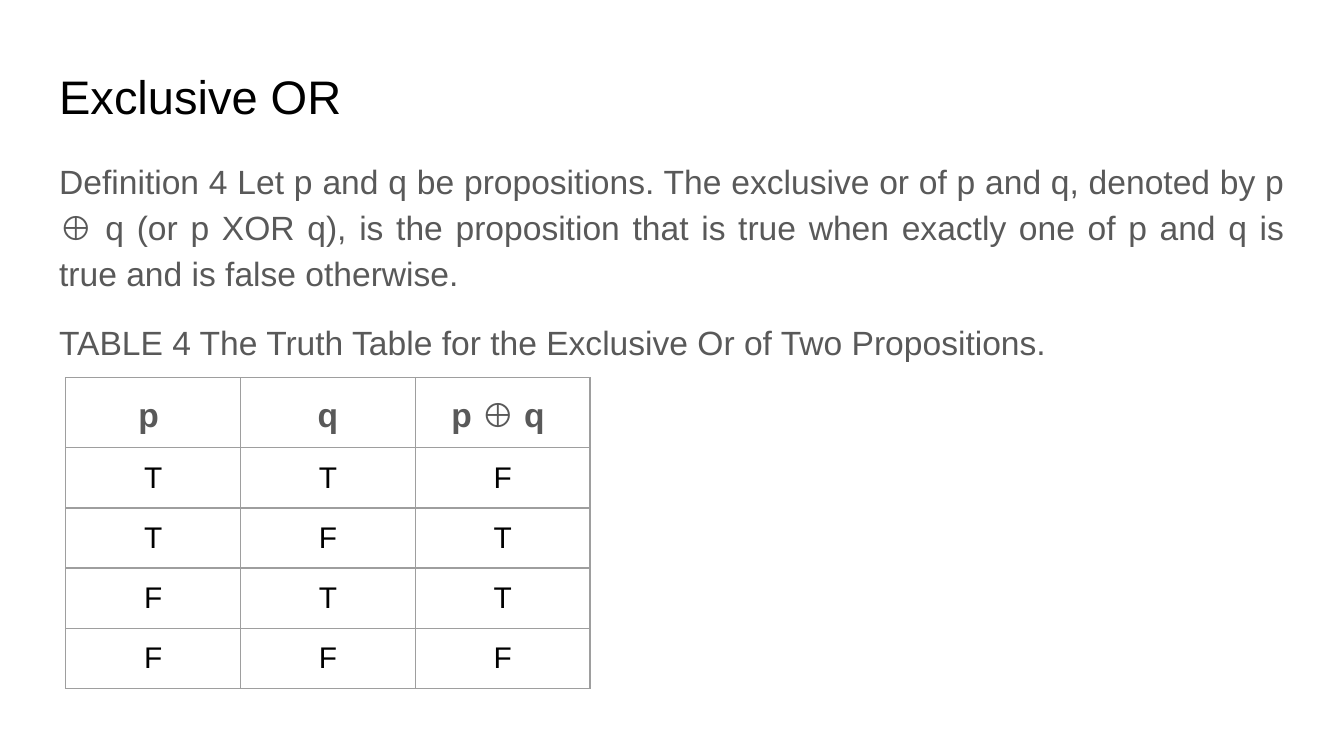
"""Build a slide defining exclusive or, with its truth table."""
from lxml import etree
from pptx import Presentation
from pptx import util as u
from pptx.dml.color import RGBColor
from pptx.enum import text
from pptx.oxml.ns import qn

TITLE = "Exclusive OR"
BODY = [
    "Definition 4 Let p and q be propositions. The exclusive or of p and q, denoted by "
    "p ⊕ q (or p XOR q), is the proposition that is true when exactly one of p and q is "
    "true and is false otherwise.",
    "TABLE 4 The Truth Table for the Exclusive Or of Two Propositions.",
]
TRUTH_TABLE = [
    ("p ", "q", "p ⊕ q "),
    ("T", "T", "F"),
    ("T", "F", "T"),
    ("F", "T", "T"),
    ("F", "F", "F"),
]
BLACK = RGBColor(0x00, 0x00, 0x00)
GRAY = RGBColor(0x59, 0x59, 0x59)
BORDER = RGBColor(0x9E, 0x9E, 0x9E)
WIDTH = u.Inches(10)
HEIGHT = WIDTH * 9 // 16
MARGIN = u.Inches(0.34)
INSET = u.Inches(0.1)
COLUMN, ROW = u.Inches(1.3), u.Inches(0.42)


def style(paragraph, size, color, align, bold=False, spacing=1.15, before=0):
    font = paragraph.font
    font.name, font.size, font.bold = "Arial", u.Pt(size), bold
    font.color.rgb = color
    paragraph.alignment = align
    paragraph.line_spacing = spacing
    paragraph.space_before = u.Pt(before)


def place(shape, top, height):
    shape.left, shape.top = MARGIN, u.Inches(top)
    shape.width, shape.height = WIDTH - 2 * MARGIN, u.Inches(height)
    frame = shape.text_frame
    frame.margin_left = frame.margin_right = frame.margin_top = frame.margin_bottom = INSET
    frame.vertical_anchor = text.MSO_ANCHOR.TOP
    frame.auto_size = text.MSO_AUTO_SIZE.NONE
    frame.word_wrap = True
    return frame


def remove_bullet(paragraph):
    properties = paragraph._p.get_or_add_pPr()
    properties.set("marL", "0")
    properties.set("indent", "0")
    bullet = etree.Element(qn("a:buNone"))
    properties.find(qn("a:defRPr")).addprevious(bullet)


def add_borders(cell):
    properties = cell._tc.get_or_add_tcPr()
    for side in ("lnL", "lnR", "lnT", "lnB"):
        line = etree.SubElement(properties, qn(f"a:{side}"), w=str(u.Pt(0.75)))
        fill = etree.SubElement(line, qn("a:solidFill"))
        etree.SubElement(fill, qn("a:srgbClr"), val=str(BORDER))


def add_truth_table(slide):
    rows, columns = len(TRUTH_TABLE), len(TRUTH_TABLE[0])
    table = slide.shapes.add_table(rows, columns, u.Inches(0.49), u.Inches(2.81),
                                   columns * COLUMN, rows * ROW).table
    table.first_row = table.horz_banding = False
    for row, values in enumerate(TRUTH_TABLE):
        for column, value in enumerate(values):
            cell = table.cell(row, column)
            cell.text = value
            cell.margin_left = cell.margin_right = cell.margin_top = cell.margin_bottom = INSET
            add_borders(cell)
            cell.fill.background()
            paragraph = cell.text_frame.paragraphs[0]
            if row == 0:
                style(paragraph, 18, GRAY, text.PP_ALIGN.CENTER, bold=True, before=12)
            else:
                style(paragraph, 16, BLACK, text.PP_ALIGN.CENTER, spacing=1.0)


def main():
    presentation = Presentation()
    presentation.slide_width, presentation.slide_height = WIDTH, HEIGHT
    slide = presentation.slides.add_slide(presentation.slide_layouts[1])

    title = place(slide.shapes.title, 0.34, 0.63)
    title.text = TITLE
    style(title.paragraphs[0], 25.2, BLACK, text.PP_ALIGN.LEFT, before=12)

    body = place(slide.placeholders[1], 1.05, 3.74)
    body.text = "\n".join(BODY)
    for index, paragraph in enumerate(body.paragraphs):
        style(paragraph, 18, GRAY, text.PP_ALIGN.JUSTIFY, before=12 * index)
        remove_bullet(paragraph)

    add_truth_table(slide)
    presentation.save("out.pptx")


if __name__ == "__main__":
    main()
